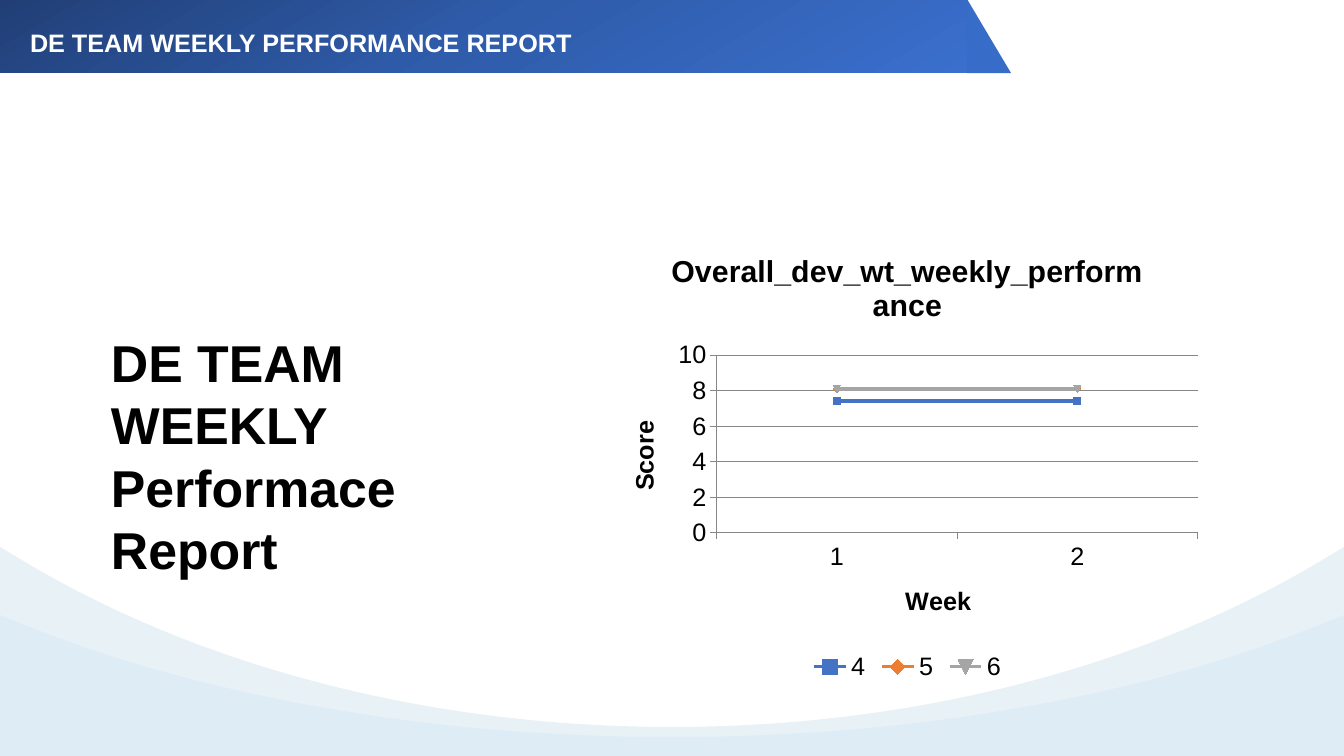
from copy import deepcopy

from lxml import etree
from pptx import Presentation
from pptx.chart.data import CategoryChartData
from pptx.dml.color import RGBColor
from pptx.enum.chart import XL_CHART_TYPE, XL_LEGEND_POSITION, XL_TICK_MARK
from pptx.enum.shapes import MSO_SHAPE
from pptx.enum.text import MSO_ANCHOR, MSO_AUTO_SIZE, PP_ALIGN
from pptx.oxml.ns import qn
from pptx.util import Pt

SCALE = 914400 / 100.8
WIDTH, HEIGHT = 1344, 756
FONT = "Arial"
BLACK, WHITE, GRID = "000000", "FFFFFF", "878787"
LINE_MARKERS = XL_CHART_TYPE.LINE_MARKERS
LEGEND_BOTTOM = XL_LEGEND_POSITION.BOTTOM
TICK_OUTSIDE = XL_TICK_MARK.OUTSIDE
RECTANGLE, RIGHT_TRIANGLE = MSO_SHAPE.RECTANGLE, MSO_SHAPE.RIGHT_TRIANGLE
TOP, MIDDLE = MSO_ANCHOR.TOP, MSO_ANCHOR.MIDDLE
LEFT = PP_ALIGN.LEFT
NO_AUTOFIT = MSO_AUTO_SIZE.NONE
TITLE_ONLY = 5


def px(length):
    """Turn pixels into EMU."""
    return round(length * SCALE)


def paint(color_format, color):
    """Set a colour format from a hex string."""
    color_format.rgb = RGBColor.from_string(color)


def style_font(font, size, color=BLACK, bold=False):
    """Set the family, size, colour and weight of a font."""
    font.name, font.size, font.bold = FONT, Pt(size), bold
    paint(font.color, color)


def finish_shape(shape, color):
    """Give a shape a solid fill, no outline and no shadow."""
    shape.shadow.inherit = False
    shape.line.fill.background()
    shape.fill.solid()
    paint(shape.fill.fore_color, color)


def write_lines(shape, lines, size, color, anchor, inset_top):
    """Write bold left-aligned lines into a text shape."""
    frame = shape.text_frame
    frame.word_wrap = True
    frame.auto_size = NO_AUTOFIT
    frame.vertical_anchor = anchor
    frame.margin_left = frame.margin_right = px(10)
    frame.margin_top, frame.margin_bottom = px(inset_top), 0
    para = frame.paragraphs[0]
    para.alignment = LEFT
    for index, line in enumerate(lines):
        if index:
            para.add_line_break()
        span = para.add_run()
        span.text = line
        style_font(span.font, size, color, True)


def bend_segments(shape, first, count):
    """Turn runs of three straight segments into cubic curves."""
    segments = shape.element.spPr.findall(".//" + qn("a:lnTo"))
    for start in range(first, first + 3 * count, 3):
        curve = etree.Element(qn("a:cubicBezTo"))
        segments[start].addprevious(curve)
        for segment in segments[start:start + 3]:
            curve.append(segment[0])
            segment.getparent().remove(segment)


def add_wave(page, box, heights, color, opacity=None):
    """Draw a symmetric bowl-shaped wave that fills the foot of its box."""
    left, top, width, height = box
    shoulder, bend, trough = heights
    half = [(0, 0), (25, shoulder), (196, bend), (423, trough), (width / 2, trough)]
    mirrored = [(width - x, y) for x, y in reversed(half[:-1])]
    outline = half + mirrored + [(width, height), (0, height)]
    points = [(px(left + x), px(top + y)) for x, y in outline]
    builder = page.shapes.build_freeform(*points[0])
    builder.add_line_segments(points[1:], close=True)
    wave = builder.convert_to_shape()
    bend_segments(wave, 1, 2)
    finish_shape(wave, color)
    if opacity is not None:
        swatch = wave.element.spPr.find(".//" + qn("a:srgbClr"))
        etree.SubElement(swatch, qn("a:alpha")).set("val", str(opacity * 1000))


def add_gradient(shape, stops, angle):
    """Fill a shape with evenly spaced gradient stops."""
    shape.fill.gradient()
    shape.fill.gradient_angle = angle
    stop_list = shape.element.spPr.find(".//" + qn("a:gsLst"))
    for extra in range(len(stops) - len(stop_list)):
        stop_list.append(deepcopy(stop_list[0]))
    for index, (stop, color) in enumerate(zip(shape.fill.gradient_stops, stops)):
        stop.position = index / (len(stops) - 1)
        paint(stop.color, color)


def add_header(page, box, text):
    """Draw the slanted banner and set the slide title on it."""
    left, top, width, height = box
    slant = 44
    banner = page.shapes.add_shape(
        RECTANGLE, px(left), px(top), px(width - slant + 1), px(height))
    finish_shape(banner, "2F5CAB")
    add_gradient(banner, ["213F76", "2F5CAB", "3A6FCD"], 300)
    tip = page.shapes.add_shape(
        RIGHT_TRIANGLE, px(left + width - slant), px(top), px(slant), px(height))
    finish_shape(tip, "386CC9")
    title = page.shapes.title
    title.left, title.top = px(left + 21), px(top + 1)
    title.width, title.height = px(907), px(60)
    title.element.getparent().append(title.element)
    write_lines(title, [text], 18, WHITE, MIDDLE, 24)


def add_heading(page, box, lines):
    """Write the large report heading."""
    heading = page.shapes.add_textbox(*map(px, box))
    write_lines(heading, lines, 37, BLACK, TOP, 29)


def style_axis(axis, title):
    """Set an axis title, its ticks and its line."""
    axis.has_title = True
    span = axis.axis_title.text_frame.paragraphs[0].add_run()
    span.text = title
    style_font(span.font, 18, bold=True)
    axis.major_tick_mark = TICK_OUTSIDE
    paint(axis.format.line.color, GRID)
    axis.format.line.width = Pt(0.75)
    style_font(axis.tick_labels.font, 18)


def add_score_chart(page, box, title, weeks, scores):
    """Plot the weekly scores as lines with markers."""
    data = CategoryChartData()
    data.categories = weeks
    for name, values, color, smooth in scores:
        data.add_series(name, values)
    chart = page.shapes.add_chart(LINE_MARKERS, *map(px, box), data).chart
    style_font(chart.font, 18)
    chart.has_title = True
    span = chart.chart_title.text_frame.paragraphs[0].add_run()
    span.text = title
    style_font(span.font, 21.6, bold=True)
    chart.has_legend = True
    chart.legend.position = LEGEND_BOTTOM
    chart.legend.include_in_layout = False
    style_font(chart.legend.font, 18)
    style_axis(chart.category_axis, "Week")
    score_axis = chart.value_axis
    style_axis(score_axis, "Score")
    score_axis.minimum_scale, score_axis.maximum_scale = 0, 10
    score_axis.has_major_gridlines = True
    paint(score_axis.major_gridlines.format.line.color, GRID)
    plot = chart.plots[0]
    plot.vary_by_categories = False
    for series, (name, values, color, smooth) in zip(plot.series, scores):
        series.smooth = smooth
        paint(series.format.line.color, color)
        series.format.line.width = Pt(2.5)
        series.marker.format.fill.solid()
        paint(series.marker.format.fill.fore_color, color)
        paint(series.marker.format.line.color, color)


def main():
    """Build the weekly report slide and save it."""
    deck = Presentation()
    deck.slide_width, deck.slide_height = px(WIDTH), px(HEIGHT)
    page = deck.slides.add_slide(deck.slide_layouts[TITLE_ONLY])
    add_wave(page, (0, 547, WIDTH, 209), (15, 117, 180), "E8F1F6")
    add_wave(page, (0, 615, WIDTH, 141), (10, 79, 122), "7AC2F9", 9)
    add_header(page, (-1, -1, 1012, 74), "DE TEAM WEEKLY PERFORMANCE REPORT")
    add_score_chart(
        page, (605, 232, 605, 454), "Overall_dev_wt_weekly_performance", ["1", "2"],
        [("4", (7.4, 7.4), "4472C4", True),
         ("5", (8.1, 8.1), "ED7D31", False),
         ("6", (8.1, 8.1), "A5A5A5", False)])
    add_heading(page, (101, 302, 353, 202), ["DE TEAM WEEKLY", "Performace Report"])
    deck.save("out.pptx")


if __name__ == "__main__":
    main()
